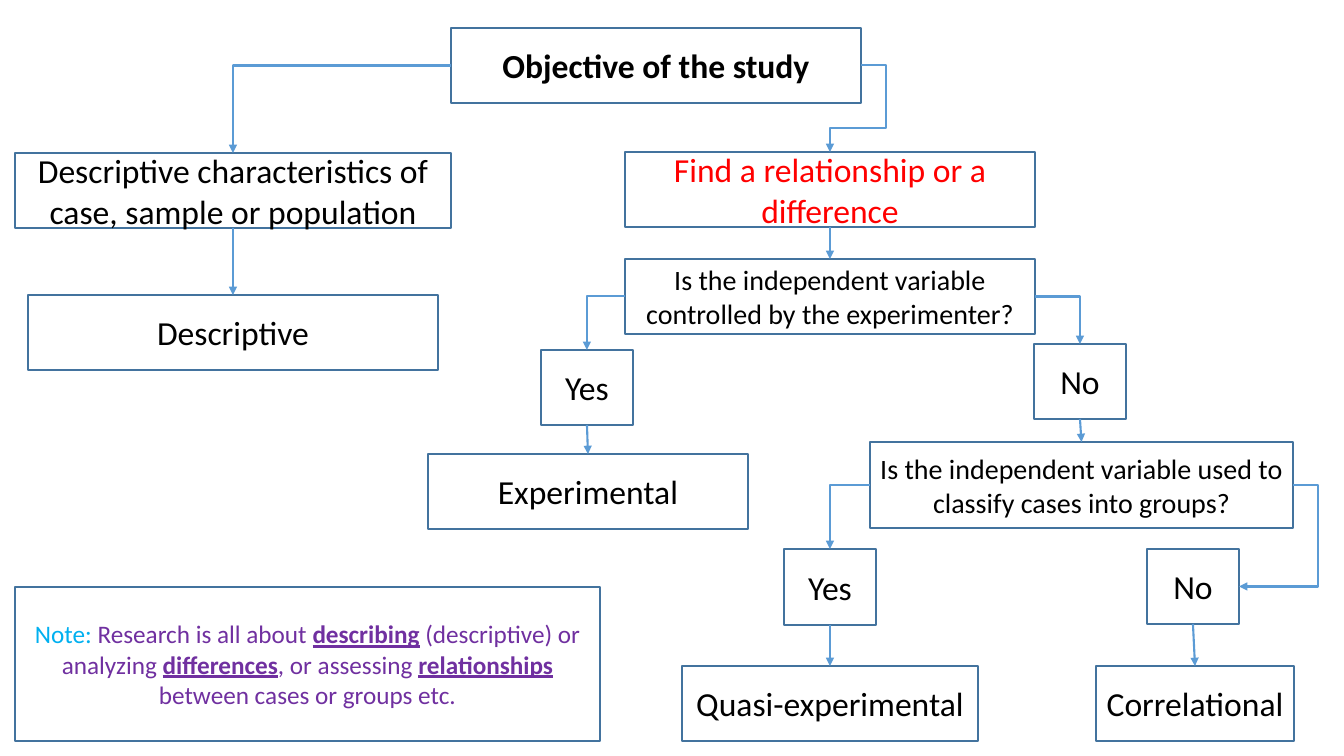
import dataclasses

import pptx
import pptx.dml.color
import pptx.enum.dml
import pptx.enum.shapes
import pptx.enum.text
import pptx.oxml
import pptx.oxml.ns
import pptx.util

SCALE = 914400 / 100.8
TOP, LEFT, BOTTOM, RIGHT = range(4)


@dataclasses.dataclass(frozen=True)
class Theme:
    """Colours, type sizes and line widths of the flow chart."""
    font: str = "Calibri"
    ink: str = "000000"
    alert: str = "FF0000"
    cyan: str = "00B0F0"
    purple: str = "7030A0"
    edge: str = "43739E"
    arrow: str = "5B9BD5"
    large: int = 24
    medium: int = 20
    small: int = 18
    thin: float = 1
    thick: float = 1.5


THEME = Theme()


def px(length):
    """Turn pixels into EMU."""
    return pptx.util.Emu(round(length * SCALE))


def rgb(code):
    """Turn a hex code into a colour."""
    return pptx.dml.color.RGBColor.from_string(code)


def style(run, size, color, strong=False, under=False):
    """Format one run."""
    font = run.font
    font.name, font.size = THEME.font, pptx.util.Pt(size)
    font.color.rgb = rgb(color)
    font.bold, font.underline = strong, under


def frame(shape, area):
    """Place a shape and give it the outline and text layout of a box."""
    shape.left, shape.top, shape.width, shape.height = map(px, area)
    shape.fill.background()
    shape.line.color.rgb = rgb(THEME.edge)
    shape.line.width = pptx.util.Pt(THEME.thin)
    text = shape.text_frame
    text.word_wrap = True
    text.auto_size = pptx.enum.text.MSO_AUTO_SIZE.NONE
    text.vertical_anchor = pptx.enum.text.MSO_ANCHOR.MIDDLE
    text.paragraphs[0].alignment = pptx.enum.text.PP_ALIGN.CENTER


def box(slide, area, words="", size=THEME.large, color=THEME.ink):
    """Add an outlined box with centred words."""
    shape = slide.shapes.add_shape(
        pptx.enum.shapes.MSO_SHAPE.RECTANGLE, 0, 0, 0, 0)
    shape.shadow.inherit = False
    shape.text_frame.text = words
    frame(shape, area)
    for run in shape.text_frame.paragraphs[0].runs:
        style(run, size, color)
    return shape


def link(slide, start, out, end, into, bend=0, via=()):
    """Join two boxes by an arrow with bend segments, via optional x and y."""
    kinds = pptx.enum.shapes.MSO_CONNECTOR
    line = slide.shapes.add_connector(
        kinds.ELBOW if bend else kinds.STRAIGHT, 0, 0, 0, 0)
    line.begin_connect(start, out)
    line.end_connect(end, into)
    line.line.color.rgb = rgb(THEME.arrow)
    line.line.width = pptx.util.Pt(THEME.thick)
    props = line._element.spPr
    if bend:
        shape = props.find(pptx.oxml.ns.qn("a:prstGeom"))
        shape.set("prst", f"bentConnector{bend}")
        guides = shape.get_or_add_avLst()
        spans = ((line.begin_x, line.end_x), (line.begin_y, line.end_y))
        for index, (turn, (near, far)) in enumerate(zip(via, spans), 1):
            ratio = round((px(turn) - near) / (far - near) * 100000)
            guide = pptx.oxml.parse_xml(
                f'<a:gd {pptx.oxml.ns.nsdecls("a")} '
                f'name="adj{index}" fmla="val {ratio}"/>')
            guides.append(guide)
    tip = pptx.oxml.parse_xml(
        f'<a:tailEnd {pptx.oxml.ns.nsdecls("a")} type="triangle"/>')
    props.find(pptx.oxml.ns.qn("a:ln")).append(tip)
    props.append(pptx.oxml.parse_xml(
        f'<a:effectLst {pptx.oxml.ns.nsdecls("a")}/>'))


def head(slide, area):
    """Make the title the root box of the chart."""
    title = slide.shapes.title
    title.text_frame.text = "Objective of the study"
    frame(title, area)
    style(title.text_frame.paragraphs[0].runs[0],
          THEME.large, THEME.ink, strong=True)
    return title


def describe(slide, area, root):
    """Draw the descriptive branch on the left."""
    x, y, w, h = area
    trait = box(slide, (x, y, w, 75),
                "Descriptive characteristics of case, sample or population")
    kind = box(slide, (x + 13, y + h - 75, w - 26, 75), "Descriptive")
    link(slide, root, LEFT, trait, TOP, 2)
    link(slide, trait, BOTTOM, kind, TOP)


def relate(slide, area, root):
    """Draw the relationship branch and return its No box."""
    x, y, w, h = area
    aim = box(slide, (x + 197, y, 410, 75),
              "Find a relationship or a difference", color=THEME.alert)
    ask = box(slide, (x + 197, y + 107, 410, 75),
              "Is the independent variable controlled by the experimenter?",
              THEME.medium)
    yes = box(slide, (x + 113, y + 198, 92, 75), "Yes")
    no = box(slide, (x + w - 92, y + 192, 92, 75), "No")
    kind = box(slide, (x, y + h - 75, 320, 75), "Experimental")
    link(slide, root, RIGHT, aim, TOP, 4, (886, y - 24))
    link(slide, aim, BOTTOM, ask, TOP)
    link(slide, ask, LEFT, yes, TOP, 2)
    link(slide, ask, RIGHT, no, TOP, 2)
    link(slide, yes, BOTTOM, kind, TOP)
    return no


def classify(slide, area, root):
    """Draw the branch on grouping at the lower right."""
    x, y, w, h = area
    ask = box(slide, (x + 188, y, 423, 86),
              "Is the independent variable used to classify cases into groups?",
              THEME.medium)
    yes = box(slide, (x + 102, y + 107, 92, 76), "Yes")
    no = box(slide, (x + 465, y + 107, 92, 75), "No")
    quasi = box(slide, (x, y + h - 75, 296, 75), "Quasi-experimental")
    match = box(slide, (x + w - 198, y + h - 75, 198, 75), "Correlational")
    link(slide, root, BOTTOM, ask, TOP)
    link(slide, ask, LEFT, yes, TOP, 2)
    link(slide, ask, RIGHT, no, RIGHT, 3, (x + w + 24,))
    link(slide, yes, BOTTOM, quasi, TOP)
    link(slide, no, BOTTOM, match, TOP)


def note(slide, area):
    """Draw the note with its stressed words."""
    line = box(slide, area).text_frame.paragraphs[0]
    parts = (("Note: ", THEME.cyan, False),
             ("Research is all about ", THEME.purple, False),
             ("describing", THEME.purple, True),
             (" (descriptive) or analyzing ", THEME.purple, False),
             ("differences", THEME.purple, True),
             (", or assessing ", THEME.purple, False),
             ("relationships", THEME.purple, True),
             (" between cases or groups etc.", THEME.purple, False))
    for words, color, stress in parts:
        run = line.add_run()
        run.text = words
        style(run, THEME.small, color, stress, stress)


def main():
    """Build and save the slide."""
    deck = pptx.Presentation()
    deck.slide_width, deck.slide_height = px(1344), px(756)
    slide = deck.slides.add_slide(deck.slide_layouts.get_by_name("Title Only"))
    root = head(slide, (451, 28, 410, 75))
    describe(slide, (15, 153, 436, 217), root)
    no = relate(slide, (428, 152, 698, 377), root)
    classify(slide, (682, 442, 612, 299), no)
    note(slide, (15, 587, 585, 154))
    deck.save("out.pptx")


main()
